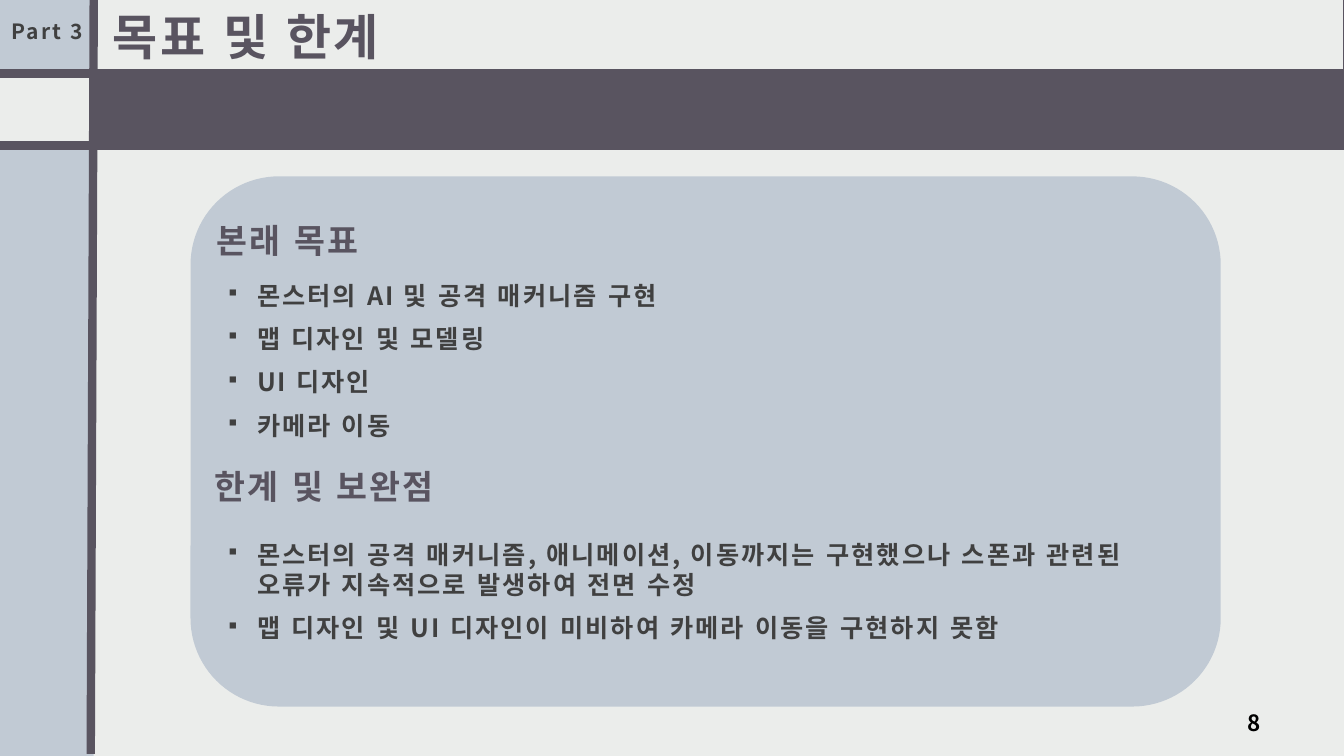
"""Build the goals and limits slide."""
from collections import namedtuple

from lxml import etree
from pptx import Presentation
from pptx import util as u
from pptx.dml.color import RGBColor
from pptx.enum import shapes, text
from pptx.oxml import ns

PAPER = RGBColor(0xEB, 0xED, 0xEB)
MIST = RGBColor(0xC1, 0xCA, 0xD4)
PLUM = RGBColor(0x59, 0x54, 0x60)
CHARCOAL = RGBColor(0x40, 0x40, 0x40)
BLACK = RGBColor(0, 0, 0)
FONT = "Noto Sans CJK KR"
CELL = u.Inches(0.1)
COLUMNS, ROWS = 133.33, 75
INDENT = u.Inches(0.31)
GOALS = ["몬스터의 AI 및 공격 매커니즘 구현", "맵 디자인 및 모델링", "UI 디자인", "카메라 이동"]
LIMITS = [
    "몬스터의 공격 매커니즘, 애니메이션, 이동까지는 구현했으나 스폰과 관련된 오류가 지속적으로 발생하여 전면 수정",
    "맵 디자인 및 UI 디자인이 미비하여 카메라 이동을 구현하지 못함",
]

Box = namedtuple("Box", "left top width height")


def cells(*lengths):
    """Turn grid columns and rows into slide lengths."""
    return [round(length * CELL) for length in lengths]


def inside(box, left, top, width, height):
    """Return a box offset from the corner of another box."""
    return Box(box.left + left, box.top + top, width, height)


def add_block(slide, box, fill, outline=None, kind=shapes.MSO_SHAPE.RECTANGLE):
    """Add a flat filled shape."""
    shape = slide.shapes.add_shape(kind, *cells(*box))
    shape.shadow.inherit = False
    shape.fill.solid()
    shape.fill.fore_color.rgb = fill
    if outline is None:
        shape.line.fill.background()
    else:
        shape.line.color.rgb = outline
        shape.line.width = u.Pt(1)


def add_rule(slide, left, top, right, bottom):
    """Add a thick dividing line."""
    connector = slide.shapes.add_connector(
        shapes.MSO_CONNECTOR.STRAIGHT, *cells(left, top, right, bottom))
    connector.line.color.rgb = PLUM
    connector.line.width = u.Pt(6)
    etree.SubElement(connector.element.spPr, ns.qn("a:effectLst"))


def add_bullet(paragraph):
    """Give a paragraph a small square bullet and a hanging indent."""
    properties = paragraph._p.get_or_add_pPr()
    properties.set("marL", str(INDENT))
    properties.set("indent", str(-INDENT))
    etree.SubElement(properties, ns.qn("a:buSzPct")).set("val", "75000")
    etree.SubElement(properties, ns.qn("a:buChar")).set("char", "▪")


def add_text(slide, box, lines, size, color=CHARCOAL, align=text.PP_ALIGN.LEFT,
             anchor=text.MSO_ANCHOR.TOP, before=9.3, bullets=False):
    """Add a text box with one paragraph per line."""
    frame = slide.shapes.add_textbox(*cells(*box)).text_frame
    frame.word_wrap = True
    frame.vertical_anchor = anchor
    frame.margin_left = frame.margin_right = frame.margin_top = u.Inches(0.12)
    frame.margin_bottom = u.Inches(0.1)
    for index, line in enumerate(lines):
        paragraph = frame.add_paragraph() if index else frame.paragraphs[0]
        paragraph.alignment = align
        paragraph.space_before = u.Pt(before)
        if bullets:
            add_bullet(paragraph)
        run = paragraph.add_run()
        run.text = line
        run.font.name = FONT
        run.font.size = u.Pt(size)
        run.font.bold = True
        run.font.color.rgb = color
        properties = run.font._element
        properties.set("spc", "150")
        properties.set("lang", "ko-KR")
        etree.SubElement(properties, ns.qn("a:ea")).set("typeface", FONT)


def add_frame(slide, box):
    """Draw the header cells, side column and dividing lines."""
    bar = 9.3
    right = box.left + box.width
    add_block(slide, inside(box, 0, 0, 9, 7.2), MIST)
    add_block(slide, inside(box, bar, -0.1, box.width - bar, 7.3), PAPER, PLUM)
    add_block(slide, inside(box, 0, 14.6, bar, box.height - 14.6), MIST)
    add_rule(slide, box.left + bar, box.top - 0.2, box.left + 9, box.top + 74.8)
    add_block(slide, inside(box, 9.4, 7, box.width - 9.4, 7.3), PLUM, PLUM)
    for row in (7.3, 14.44):
        add_rule(slide, right, box.top + row, box.left, box.top + row)


def add_labels(slide, box):
    """Write the part label, the title and the page number."""
    add_text(slide, inside(box, 10, -0.6, 62, 8.5), ["목표 및 한계"], 35, PLUM)
    add_text(slide, inside(box, -1.8, 0.6, 13, 4.5), ["Part 3"], 15,
             align=text.PP_ALIGN.CENTER)
    add_text(slide, inside(box, 115.6, 69, 10.7, 5), ["8"], 16, BLACK,
             align=text.PP_ALIGN.RIGHT, anchor=text.MSO_ANCHOR.BOTTOM, before=0)


def add_panel(slide, box):
    """Draw the rounded panel with its two headed lists."""
    add_block(slide, box, MIST, kind=shapes.MSO_SHAPE.ROUNDED_RECTANGLE)
    sections = [("본래 목표", 1.4, 3.1, GOALS, 9.1, 19),
                ("한계 및 보완점", 1.2, 27.5, LIMITS, 34.8, 14)]
    for heading, left, top, items, list_top, list_height in sections:
        add_text(slide, inside(box, left, top, 51, 9.4), [heading], 24, PLUM)
        add_text(slide, inside(box, 2.3, list_top, 97, list_height), items, 18,
                 bullets=True)


def main():
    """Assemble and save the slide."""
    presentation = Presentation()
    presentation.slide_width, presentation.slide_height = cells(COLUMNS, ROWS)
    slide = presentation.slides.add_slide(presentation.slide_layouts[6])
    slide.background.fill.solid()
    slide.background.fill.fore_color.rgb = PAPER
    page = Box(0, 0, COLUMNS, ROWS)
    add_frame(slide, page)
    add_labels(slide, page)
    add_panel(slide, inside(page, 18.9, 17.5, 102.2, 52.6))
    presentation.save("out.pptx")


if __name__ == "__main__":
    main()
